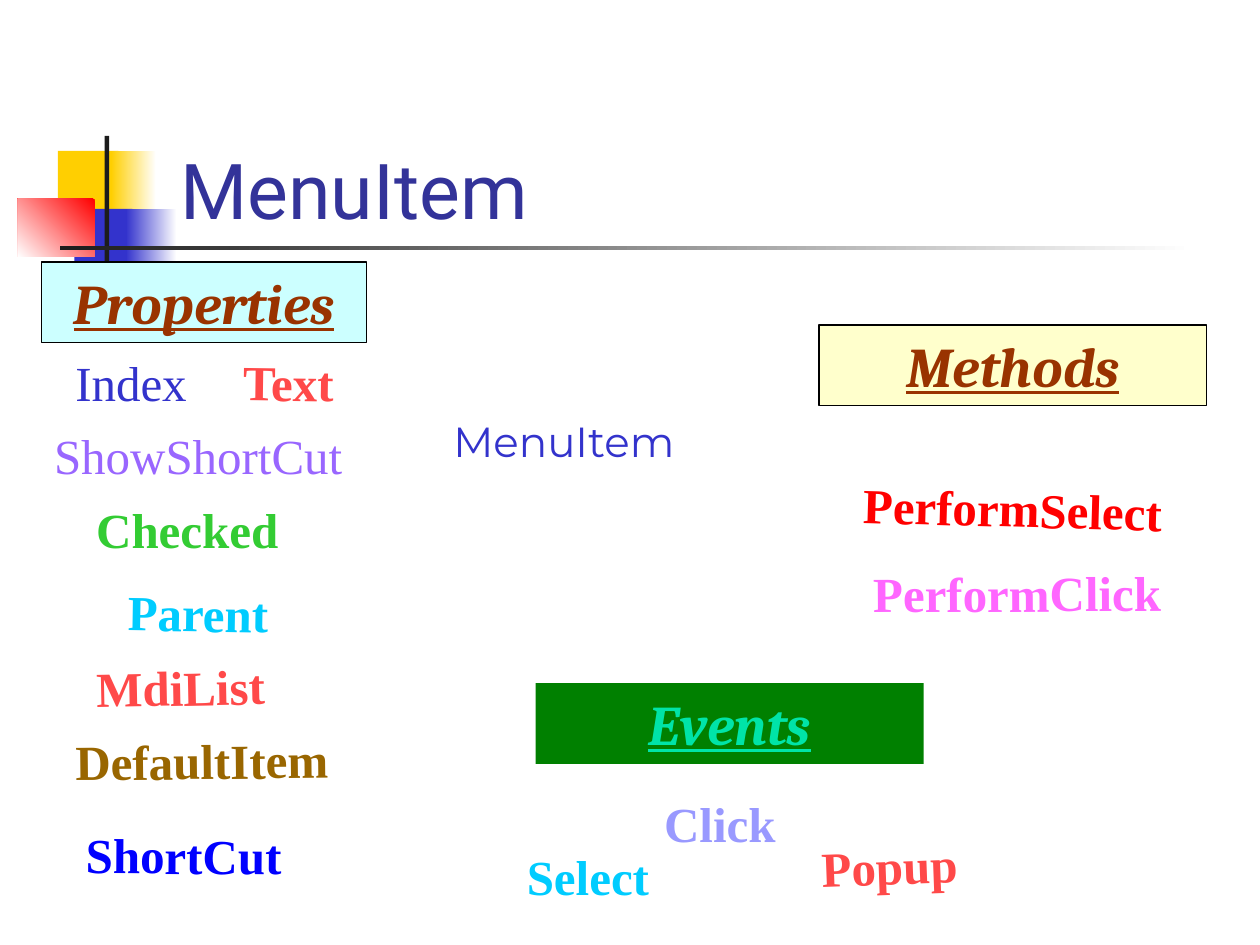
from pptx import Presentation
from pptx.dml.color import RGBColor
from pptx.enum.shapes import MSO_SHAPE
from pptx.enum.text import MSO_ANCHOR, MSO_AUTO_SIZE, PP_ALIGN
from pptx.util import Cm, Pt

WORD_HEIGHT = 1.45
HEADING_HEIGHT = 1.63


def color(value):
    return RGBColor.from_string(value)


def write(shape, text, font, size, text_color, align=PP_ALIGN.LEFT,
          bold=False, emphasis=False, wrap=True):
    frame = shape.text_frame
    frame.word_wrap = wrap
    frame.auto_size = MSO_AUTO_SIZE.SHAPE_TO_FIT_TEXT if wrap else MSO_AUTO_SIZE.NONE
    frame.vertical_anchor = MSO_ANCHOR.TOP
    frame.text = text
    paragraph = frame.paragraphs[0]
    paragraph.alignment = align
    run_font = paragraph.runs[0].font
    run_font.name = font
    run_font.size = Pt(size)
    run_font.bold = bold
    run_font.italic = run_font.underline = emphasis
    run_font.color.rgb = color(text_color)


def add_rectangle(slide, left, top, width, height, fill, line=None):
    shape = slide.shapes.add_shape(
        MSO_SHAPE.RECTANGLE, Cm(left), Cm(top), Cm(width), Cm(height))
    shape.shadow.inherit = False
    if isinstance(fill, tuple):
        start, end, angle = fill
        shape.fill.gradient()
        shape.fill.gradient_angle = angle
        for stop, position, value in zip(shape.fill.gradient_stops, (0, 1), (start, end)):
            stop.position = position
            stop.color.rgb = color(value)
    else:
        shape.fill.solid()
        shape.fill.fore_color.rgb = color(fill)
    if line:
        shape.line.color.rgb = color(line)
        shape.line.width = Pt(0.75)
    else:
        shape.line.fill.background()
    return shape


def add_ornament(slide, left, top):
    """Coloured squares with a vertical bar and a fading rule."""
    parts = [
        (0.81, 0.3, 1.22, 1.32, "FFCF01"),
        (1.88, 0.3, 0.91, 1.32, ("FFFFFF", "FFCF01", 180)),
        (1.14, 1.47, 1.17, 1.32, "3333CC"),
        (2.18, 1.47, 1.02, 1.32, ("FFFFFF", "3333CC", 180)),
        (0, 1.27, 1.55, 1.17, ("FF0000", "FFFFFF", 225)),
        (1.75, 0, 0.09, 2.92, "1C1C1C"),
        (0.86, 2.21, 22.86, 0.1, ("FFFFFF", "1C1C1C", 180)),
    ]
    for x, y, width, height, fill in parts:
        add_rectangle(slide, left + x, top + y, width, height, fill)


def place_title(slide, left, top, width, height):
    title = slide.shapes.title
    title.left, title.top, title.width, title.height = map(Cm, (left, top, width, height))
    write(title, "MenuItem", "Roboto", 44, "333399")


def add_class_name(slide, left, top, width, height):
    box = slide.shapes.add_textbox(Cm(left), Cm(top), Cm(width), Cm(height))
    write(box, "MenuItem", "Montserrat", 24, "3333CC", wrap=False)


def add_group(slide, left, top, width, heading, fill, text_color, line, words):
    """Heading box with its member words, placed relative to the heading."""
    box = add_rectangle(slide, left, top, width, HEADING_HEIGHT, fill, line)
    write(box, heading, "Cambria", 32, text_color, PP_ALIGN.CENTER, bold=True, emphasis=True)
    for text, x, y, word_width, word_color, rotation, bold in words:
        word = slide.shapes.add_textbox(
            Cm(left + x), Cm(top + y), Cm(word_width), Cm(WORD_HEIGHT))
        word.rotation = rotation
        write(word, text, "Times New Roman", 28, word_color, bold=bold)


# Words: text, offset x, offset y, width, colour, rotation, bold
PROPERTIES = [
    ("Index", 0.43, 1.7, 2.97, "3333CC", 0, False),
    ("Text", 3.81, 1.7, 2.54, "FF4949", 0.8, True),
    ("ShowShortCut", 0, 3.18, 6.78, "9966FF", 0, False),
    ("Checked", 0.85, 4.66, 4.24, "33CC33", 0, True),
    ("Parent", 1.49, 6.35, 3.38, "00CCFF", 1, True),
    ("MdiList", 0.85, 7.84, 4.01, "FF4949", -1.2, True),
    ("DefaultItem", 0.43, 9.32, 6.1, "996600", -0.6, True),
    ("ShortCut", 0.64, 11.23, 4.6, "0000FF", 0.4, True),
]
METHODS = [
    ("PerformSelect", 0.64, 2.97, 6.6, "FF0000", 1.6, True),
    ("PerformClick", 0.84, 4.67, 6.43, "FF66FF", -0.4, True),
]
EVENTS = [
    ("Click", 2.34, 2.11, 3.81, "9999FF", 0.2, True),
    ("Select", -0.43, 3.18, 3.38, "00CCFF", 0.2, True),
    ("Popup", 5.51, 2.95, 4.09, "FF4949", -2.1, True),
]


def main():
    presentation = Presentation()
    presentation.slide_width, presentation.slide_height = Cm(25.4), Cm(19.05)
    slide = presentation.slides.add_slide(presentation.slide_layouts.get_by_name("Title Only"))

    # Header
    add_ornament(slide, 0.36, 2.74)
    place_title(slide, 3.38, 2.74, 13.54, 2.13)

    # Class and its members
    add_class_name(slide, 8.89, 8.26, 7.19, 1.7)
    add_group(slide, 0.84, 5.28, 6.55, "Properties", "CCFFFF", "993300", "000000", PROPERTIES)
    add_group(slide, 16.51, 6.55, 7.82, "Methods", "FFFFCC", "993300", "000000", METHODS)
    add_group(slide, 10.8, 13.77, 7.82, "Events", "008000", "00E4A8", None, EVENTS)

    presentation.save("out.pptx")


if __name__ == "__main__":
    main()
